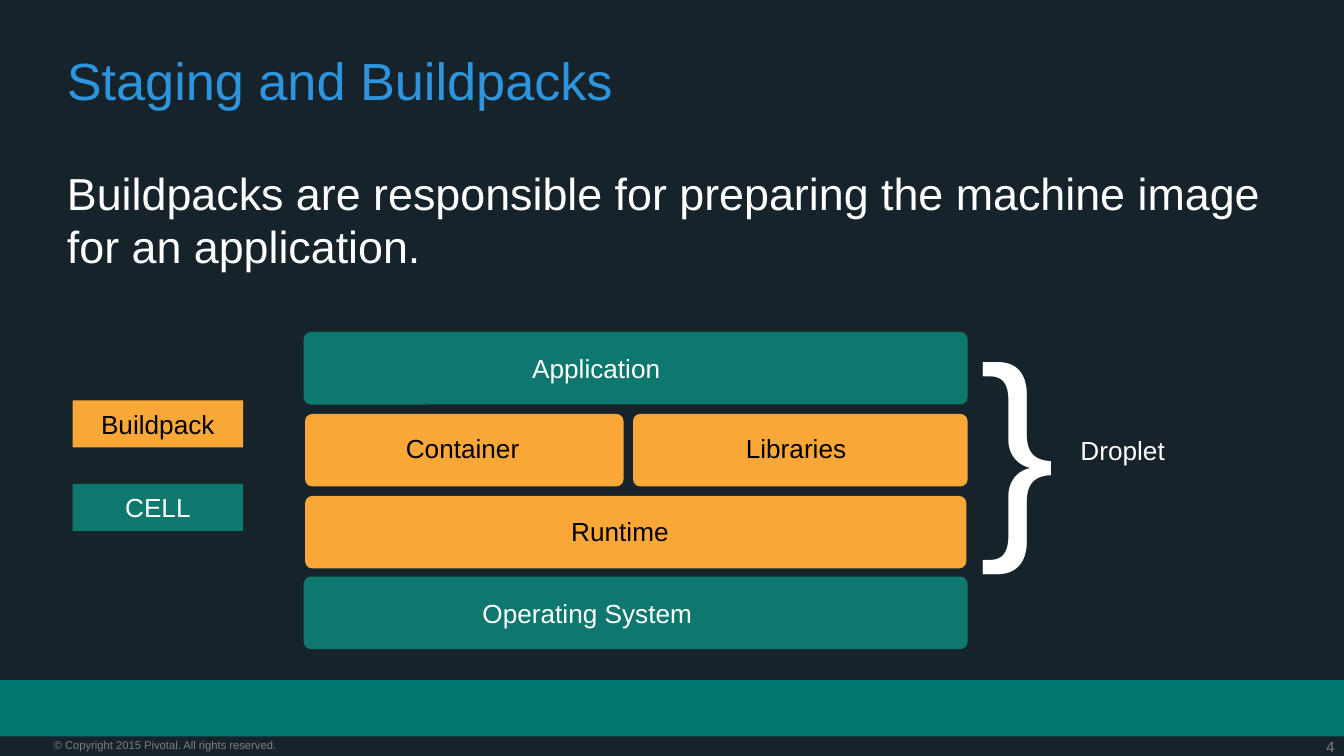
from dataclasses import dataclass
from typing import Optional

from pptx import Presentation
from pptx.dml.color import RGBColor
from pptx.enum.shapes import MSO_SHAPE
from pptx.enum.text import MSO_ANCHOR, MSO_AUTO_SIZE, PP_ALIGN
from pptx.util import Inches, Pt

RECTANGLE = MSO_SHAPE.RECTANGLE
ROUNDED = MSO_SHAPE.ROUNDED_RECTANGLE
LEFT, CENTER, RIGHT = PP_ALIGN.LEFT, PP_ALIGN.CENTER, PP_ALIGN.RIGHT
TOP, MIDDLE = MSO_ANCHOR.TOP, MSO_ANCHOR.MIDDLE
GROW = MSO_AUTO_SIZE.SHAPE_TO_FIT_TEXT

FONT = "Arial"
NIGHT, BAND, TEAL, ORANGE = "17232A", "00786E", "0F786E", "F9A737"
BLUE, WHITE, BLACK, GRAY = "2C95DD", "FFFFFF", "000000", "7F7F7F"
BLOCK_HEIGHT = 0.54
LABEL_INSET = 0.06


@dataclass
class Area:
    left: float
    top: float
    width: float
    height: float

    def lengths(self):
        return [Inches(n) for n in (self.left, self.top, self.width, self.height)]


@dataclass
class Block:
    left: float
    top: float
    width: float
    color: str


@dataclass
class Label:
    text: str
    area: Area
    color: str
    fill: Optional[str] = None
    size: float = 14
    align: PP_ALIGN = LEFT


def rgb(value: str) -> RGBColor:
    return RGBColor.from_string(value)


def add_filled(page, kind, area: Area, color: str):
    shape = page.shapes.add_shape(kind, *area.lengths())
    shape.shadow.inherit = False
    shape.fill.solid()
    shape.fill.fore_color.rgb = rgb(color)
    shape.line.fill.background()
    return shape


def write(box, text: str, size: float, color: str, align=LEFT, anchor=TOP,
          inset: Optional[float] = None, spacing: float = 1.0) -> None:
    frame = box.text_frame
    frame.word_wrap = True
    frame.vertical_anchor = anchor
    if inset is not None:
        frame.margin_left = frame.margin_right = Inches(inset)
        frame.margin_top = frame.margin_bottom = Inches(inset)
    para = frame.paragraphs[0]
    para.alignment = align
    para.line_spacing = spacing
    span = para.add_run()
    span.text = text
    span.font.name = FONT
    span.font.size = Pt(size)
    span.font.color.rgb = rgb(color)


def add_text(page, area: Area, *args, **options) -> None:
    write(page.shapes.add_textbox(*area.lengths()), *args, **options)


def add_block(page, block: Block) -> None:
    area = Area(block.left, block.top, block.width, BLOCK_HEIGHT)
    shape = add_filled(page, ROUNDED, area, block.color)
    shape.adjustments[0] = 0.1


def add_label(page, label: Label) -> None:
    if label.fill:
        box = add_filled(page, RECTANGLE, label.area, label.fill)
    else:
        box = page.shapes.add_textbox(*label.area.lengths())
    write(box, label.text, label.size, label.color, label.align, MIDDLE, LABEL_INSET)
    box.text_frame.auto_size = GROW


BLOCKS = [
    Block(2.26, 2.47, 4.94, TEAL),
    Block(2.27, 3.08, 2.37, ORANGE),
    Block(4.71, 3.08, 2.49, ORANGE),
    Block(2.27, 3.69, 4.92, ORANGE),
    Block(2.26, 4.29, 4.94, TEAL),
]

LABELS = [
    # Layers of the stack
    Label("Application", Area(3.9, 2.51, 1.44, 0.46), WHITE),
    Label("Container", Area(2.96, 3.16, 1, 0.35), BLACK, ORANGE),
    Label("Libraries", Area(5.49, 3.16, 0.9, 0.35), BLACK),
    Label("Runtime", Area(4.19, 3.78, 0.85, 0.35), BLACK),
    Label("Operating System", Area(3.53, 4.33, 2.18, 0.46), WHITE, TEAL),
    # Legend
    Label("Buildpack", Area(0.54, 2.98, 1.27, 0.35), BLACK, ORANGE, align=CENTER),
    Label("CELL", Area(0.54, 3.6, 1.27, 0.35), WHITE, TEAL, align=CENTER),
    # Brace and its caption
    Label("}", Area(7.23, 2.16, 0.68, 2.17), WHITE, size=122, align=CENTER),
    Label("Droplet", Area(7.98, 3.17, 0.8, 0.35), WHITE),
]


def main() -> None:
    deck = Presentation()
    deck.slide_width = Inches(10)
    deck.slide_height = deck.slide_width * 9 // 16
    page = deck.slides.add_slide(deck.slide_layouts[6])
    page.background.fill.solid()
    page.background.fill.fore_color.rgb = rgb(NIGHT)

    # Footer
    add_filled(page, RECTANGLE, Area(0, 5.06, 10, 0.42), BAND)
    add_text(page, Area(9.35, 5.49, 0.58, 0.14), "4", 8, GRAY, RIGHT, inset=0)
    add_text(page, Area(0.4, 5.49, 2.49, 0.1),
             "© Copyright 2015 Pivotal. All rights reserved.", 6, GRAY, inset=0)

    # Title and statement
    add_text(page, Area(0.4, 0.36, 9.2, 0.68), "Staging and Buildpacks",
             28, BLUE, spacing=0.9)
    add_text(page, Area(0.4, 1.18, 9.2, 3.75),
             "Buildpacks are responsible for preparing the machine image for an application.",
             24, WHITE)

    # Stack diagram
    for block in BLOCKS:
        add_block(page, block)
    for label in LABELS:
        add_label(page, label)

    deck.save("out.pptx")


if __name__ == "__main__":
    main()
